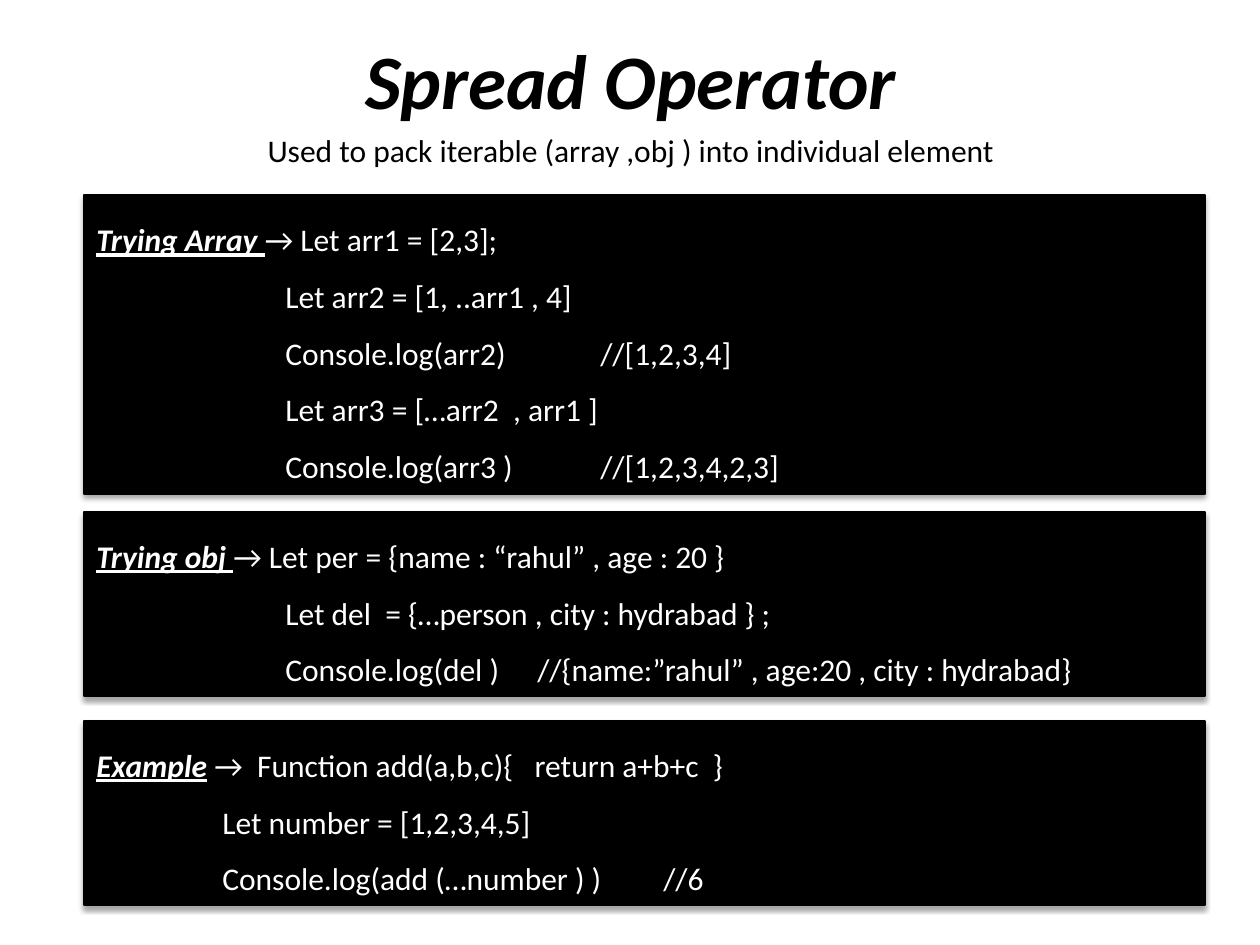
from dataclasses import dataclass

from lxml import etree
from pptx import Presentation
from pptx.dml.color import RGBColor
from pptx.enum.shapes import MSO_SHAPE
from pptx.enum.text import MSO_ANCHOR, PP_ALIGN
from pptx.oxml.ns import qn
from pptx.util import Emu, Pt

RECT = MSO_SHAPE.RECTANGLE
TOP, MIDDLE = MSO_ANCHOR.TOP, MSO_ANCHOR.MIDDLE
LEFT, CENTER = PP_ALIGN.LEFT, PP_ALIGN.CENTER
SCALE = 914400 / 126


@dataclass(frozen=True)
class Theme:
    font: str = "Calibri"
    dark: RGBColor = RGBColor(0, 0, 0)
    light: RGBColor = RGBColor(255, 255, 255)
    title: int = 44
    body: int = 18
    edge: float = 0.75
    lead: float = 1.5


THEME = Theme()


def px(n):
    return Emu(round(n * SCALE))


def style(run, size, color, bold=False, under=False):
    """Format a run; bold text is also italic."""
    font = run.font
    font.name, font.size = THEME.font, Pt(size)
    font.color.rgb = color
    font.bold = font.italic = bold
    font.underline = under


def add_line(slide, box, text, size, bold=False):
    """Add one centred line of dark text."""
    frame = slide.shapes.add_textbox(*map(px, box)).text_frame
    frame.word_wrap = True
    frame.vertical_anchor = MIDDLE
    frame.text = text
    para = frame.paragraphs[0]
    para.alignment = CENTER
    style(para.runs[0], size, THEME.dark, bold)


def add_shade(shape):
    """Give the shape a soft shadow straight below it."""
    shape.shadow.inherit = False
    effects = shape._element.spPr.find(qn("a:effectLst"))
    shade = etree.SubElement(effects, qn("a:outerShdw"), blurRad=str(Pt(3.1)),
                             dist=str(Pt(1.8)), dir="5400000", rotWithShape="0")
    color = etree.SubElement(shade, qn("a:srgbClr"), val=str(THEME.dark))
    etree.SubElement(color, qn("a:alpha"), val="35000")


def add_panel(slide, box, head, first, rest, level, indent):
    """Add a code panel: a heading with its first line, then indented lines."""
    panel = slide.shapes.add_shape(RECT, *map(px, box))
    panel.fill.solid()
    panel.fill.fore_color.rgb = THEME.dark
    panel.line.color.rgb = THEME.dark
    panel.line.width = Pt(THEME.edge)
    add_shade(panel)

    frame = panel.text_frame
    frame.word_wrap = True
    frame.vertical_anchor = TOP
    frame.text = "\n".join([head, *rest])
    lead, *others = frame.paragraphs
    lead.add_run().text = first
    for para in others:
        para.level = level
        props = para._p.get_or_add_pPr()
        props.set("marL", str(px(indent)))
        props.set("indent", "0")
    for para in frame.paragraphs:
        para.alignment = LEFT
        para.line_spacing = THEME.lead
        for run in para.runs:
            style(run, THEME.body, THEME.light)
    style(lead.runs[0], THEME.body, THEME.light, bold=True, under=True)


def main():
    deck = Presentation()
    deck.slide_width, deck.slide_height = px(1260), px(945)
    slide = deck.slides.add_slide(deck.slide_layouts[6])

    add_line(slide, (64, 0, 1134, 158), "Spread Operator", THEME.title, bold=True)
    add_line(slide, (74, 125, 1121, 50),
             "Used to pack iterable (array ,obj ) into individual element ",
             THEME.body)

    panels = [
        (195, 299, "Trying Array ", "→ Let arr1 = [2,3];",
         ["Let arr2 = [1, ..arr1 , 4]",
          "Console.log(arr2)\t\t//[1,2,3,4]",
          "Let arr3 = […arr2  , arr1 ]",
          "Console.log(arr3 )\t\t//[1,2,3,4,2,3]"], 3, 189),
        (512, 184, "Trying obj ", "→ Let per = {name : “rahul” , age : 20 }",
         ["Let del  = {…person , city : hydrabad } ;",
          "Console.log(del )\t//{name:”rahul” , age:20 , city : hydrabad}"],
         3, 189),
        (721, 184, "Example", " →  Function add(a,b,c){   return a+b+c  }",
         ["Let number = [1,2,3,4,5]",
          "Console.log(add (…number ) ) \t//6"], 2, 126),
    ]
    for top, height, *parts in panels:
        add_panel(slide, (84, top, 1121, height), *parts)

    deck.save("out.pptx")


if __name__ == "__main__":
    main()
